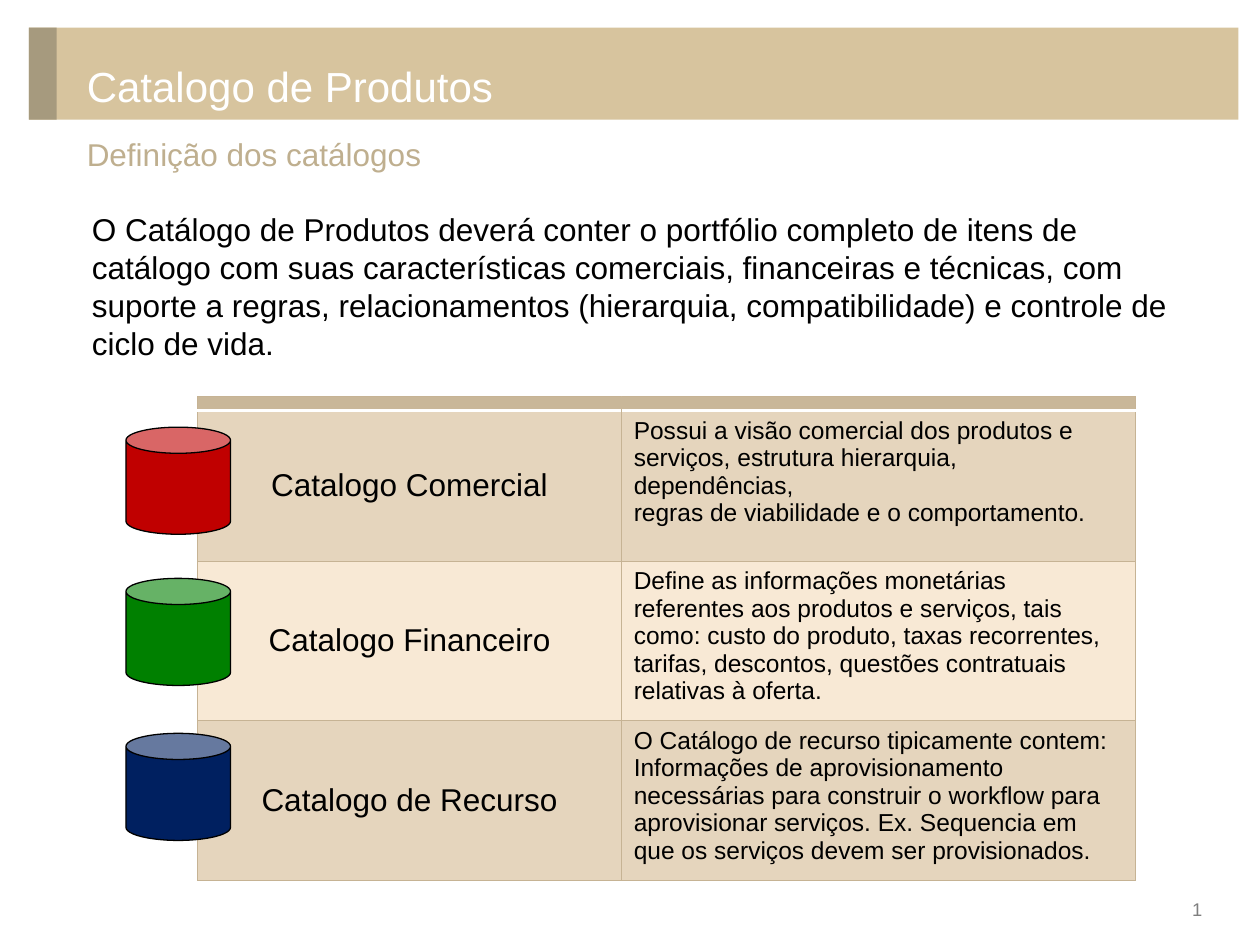
from lxml.etree import SubElement
from pptx import Presentation
from pptx.dml.color import RGBColor
from pptx.enum.shapes import MSO_SHAPE
from pptx.enum.text import MSO_ANCHOR, PP_ALIGN
from pptx.oxml.ns import qn
from pptx.util import Inches, Pt

WHITE = RGBColor(0xFF, 0xFF, 0xFF)
BLACK = RGBColor(0x00, 0x00, 0x00)
GRAY = RGBColor(0x7F, 0x7F, 0x7F)
SAND = RGBColor(0xD7, 0xC4, 0x9E)
OLIVE = RGBColor(0xA6, 0x9A, 0x7E)
SUBTITLE_TAN = RGBColor(0xBF, 0xAF, 0x8F)
HEADER_TAN = RGBColor(0xC9, 0xB7, 0x99)
BORDER_TAN = RGBColor(0xC6, 0xB3, 0x94)
BAND_DARK = RGBColor(0xE5, 0xD5, 0xBD)
BAND_LIGHT = RGBColor(0xF8, 0xE9, 0xD5)
RED = RGBColor(0xC0, 0x00, 0x00)
GREEN = RGBColor(0x00, 0x80, 0x00)
NAVY = RGBColor(0x00, 0x20, 0x60)

DEFINITION = (
    "O Catálogo de Produtos deverá conter o portfólio completo de itens de catálogo "
    "com suas características comerciais, financeiras e técnicas, com suporte a regras, "
    "relacionamentos (hierarquia, compatibilidade) e controle de ciclo de vida."
)
CATALOGS = [
    ("Catalogo Comercial", BAND_DARK, [
        "Possui a visão comercial dos produtos e serviços, estrutura hierarquia, dependências,",
        "regras de viabilidade e o comportamento.",
    ]),
    ("Catalogo Financeiro", BAND_LIGHT, [
        "Define as informações monetárias referentes aos produtos e serviços, tais como: "
        "custo do produto, taxas recorrentes, tarifas, descontos, questões contratuais "
        "relativas à oferta.",
    ]),
    ("Catalogo de Recurso", BAND_DARK, [
        "O Catálogo de recurso tipicamente contem: Informações de aprovisionamento "
        "necessárias para construir o workflow para aprovisionar serviços. Ex. Sequencia "
        "em que os serviços devem ser provisionados.",
    ]),
]
CYLINDERS = [(3.39, RED), (4.59, GREEN), (5.82, NAVY)]


def write_text(frame, lines, size=18, color=BLACK, align=PP_ALIGN.LEFT):
    """Fill a text frame with one paragraph per line."""
    frame.word_wrap = True
    for index, line in enumerate(lines):
        paragraph = frame.paragraphs[0] if index == 0 else frame.add_paragraph()
        paragraph.alignment = align
        run = paragraph.add_run()
        run.text = line
        run.font.name = "Arial"
        run.font.size = Pt(size)
        run.font.color.rgb = color


def add_text(slide, text, left, top, width, height, anchor=MSO_ANCHOR.TOP,
             side=0.1, inset_top=0.05, **text_format):
    """Add a text box with the given anchor and insets."""
    box = slide.shapes.add_textbox(Inches(left), Inches(top), Inches(width), Inches(height))
    frame = box.text_frame
    frame.vertical_anchor = anchor
    frame.margin_left = frame.margin_right = Inches(side)
    frame.margin_top = Inches(inset_top)
    write_text(frame, [text], **text_format)


def add_filled_shape(slide, kind, left, top, width, height, fill, line=None):
    """Add a flat preset shape with an optional outline."""
    shape = slide.shapes.add_shape(
        kind, Inches(left), Inches(top), Inches(width), Inches(height))
    shape.shadow.inherit = False
    shape.fill.solid()
    shape.fill.fore_color.rgb = fill
    if line is None:
        shape.line.fill.background()
    else:
        shape.line.color.rgb = line
        shape.line.width = Pt(0.75)


def style_cell(cell, fill, bottom=BORDER_TAN, bottom_width=0.75, top=BORDER_TAN,
               top_width=0.75, left=BORDER_TAN, right=BORDER_TAN):
    """Set the borders and then the fill of a table cell."""
    properties = cell._tc.get_or_add_tcPr()
    borders = [("L", left, 0.75), ("R", right, 0.75),
               ("T", top, top_width), ("B", bottom, bottom_width)]
    for side, color, width in borders:
        line = SubElement(properties, qn(f"a:ln{side}"), w=str(Pt(width)))
        solid = SubElement(line, qn("a:solidFill"))
        SubElement(solid, qn("a:srgbClr"), val=str(color))
    cell.fill.solid()
    cell.fill.fore_color.rgb = fill


def add_header(slide, left, top, width, height):
    """Draw the title band with its dark tab and the subtitle below."""
    add_filled_shape(slide, MSO_SHAPE.RECTANGLE, left, top, width, height, SAND)
    add_filled_shape(slide, MSO_SHAPE.RECTANGLE, left, top, 0.22, height, OLIVE)
    text_left = left + 0.36
    add_text(slide, "Catalogo de Produtos", text_left, top + 0.11, 8.25, 0.7,
             anchor=MSO_ANCHOR.MIDDLE, size=24, color=WHITE)
    add_text(slide, "Definição dos catálogos", text_left, top + 0.8, 8.25, 0.38,
             color=SUBTITLE_TAN)


def add_catalog_table(slide, left, top, width, height):
    """Draw the table of catalogs under a thin empty header row."""
    header_height = 0.11
    row_height = (height - header_height) / len(CATALOGS)
    table = slide.shapes.add_table(
        len(CATALOGS) + 1, 2, Inches(left), Inches(top), Inches(width), Inches(height)).table
    name_width = 3.36
    table.columns[0].width = Inches(name_width)
    table.columns[1].width = Inches(width - name_width)

    table.rows[0].height = Inches(header_height)
    for column, inner in enumerate(("right", "left")):
        cell = table.cell(0, column)
        cell.margin_top = cell.margin_bottom = 0
        SubElement(cell.text_frame.paragraphs[0]._p, qn("a:endParaRPr"), sz="500")
        style_cell(cell, HEADER_TAN, bottom=WHITE, bottom_width=2, **{inner: HEADER_TAN})

    for row, (name, fill, description) in enumerate(CATALOGS, start=1):
        table.rows[row].height = Inches(row_height)
        top_border = {"top": WHITE, "top_width": 2} if row == 1 else {}
        name_cell, description_cell = table.cell(row, 0), table.cell(row, 1)
        name_cell.vertical_anchor = MSO_ANCHOR.MIDDLE
        write_text(name_cell.text_frame, [name], align=PP_ALIGN.CENTER)
        write_text(description_cell.text_frame, description, size=14)
        for cell in (name_cell, description_cell):
            style_cell(cell, fill, **top_border)


def add_cylinders(slide, left, width, height):
    """Draw one database cylinder beside each table row."""
    for top, color in CYLINDERS:
        add_filled_shape(slide, MSO_SHAPE.CAN, left, top, width, height, color, line=BLACK)


def main():
    """Build the slide and save it."""
    presentation = Presentation()
    presentation.slide_width = Inches(10)
    presentation.slide_height = Inches(7.5)
    slide = presentation.slides.add_slide(presentation.slide_layouts[6])
    add_header(slide, 0.23, 0.22, 9.6, 0.73)
    add_text(slide, "1", 8.67, 6.95, 0.97, 0.4, anchor=MSO_ANCHOR.BOTTOM,
             size=10.5, color=GRAY, align=PP_ALIGN.RIGHT)
    add_text(slide, DEFINITION, 0.61, 1.47, 8.9, 1.57, side=0.12, inset_top=0.2)
    add_catalog_table(slide, 1.57, 3.15, 7.44, 3.69)
    add_cylinders(slide, 1, 0.83, 0.85)
    presentation.save("out.pptx")


if __name__ == "__main__":
    main()
